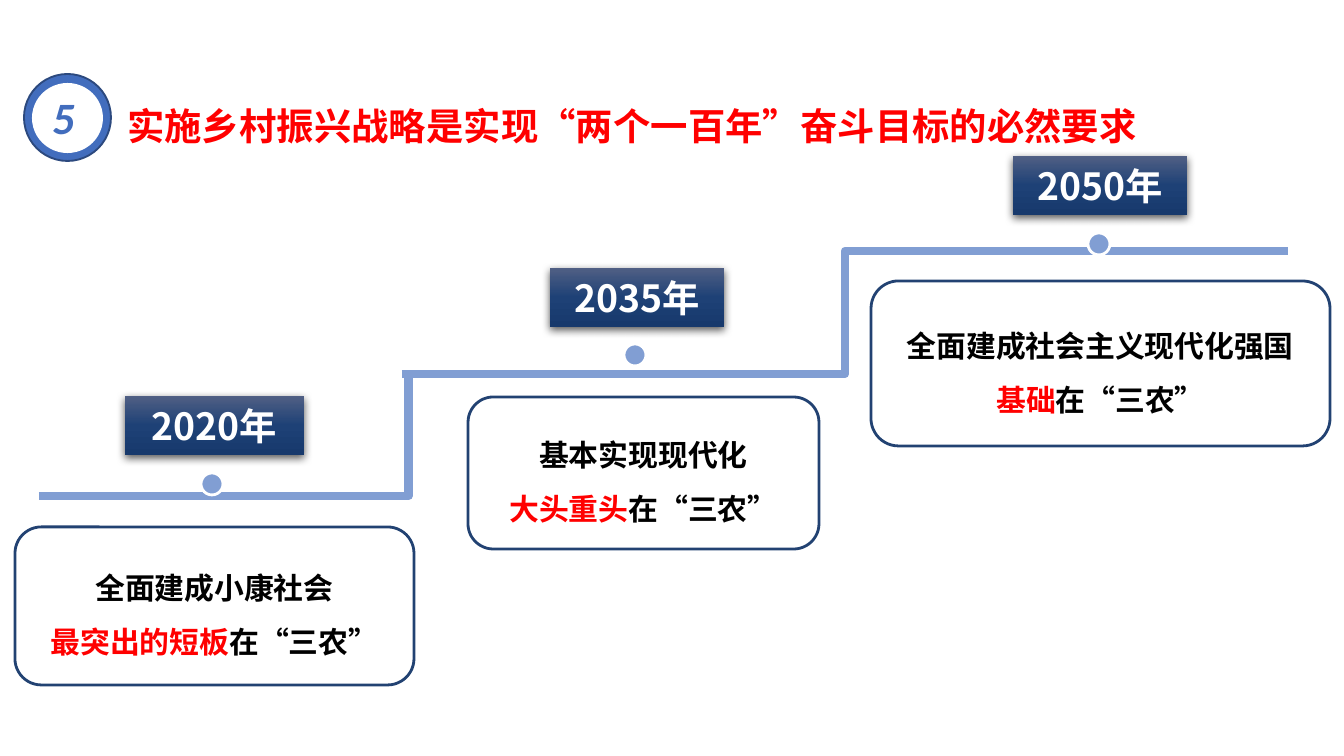
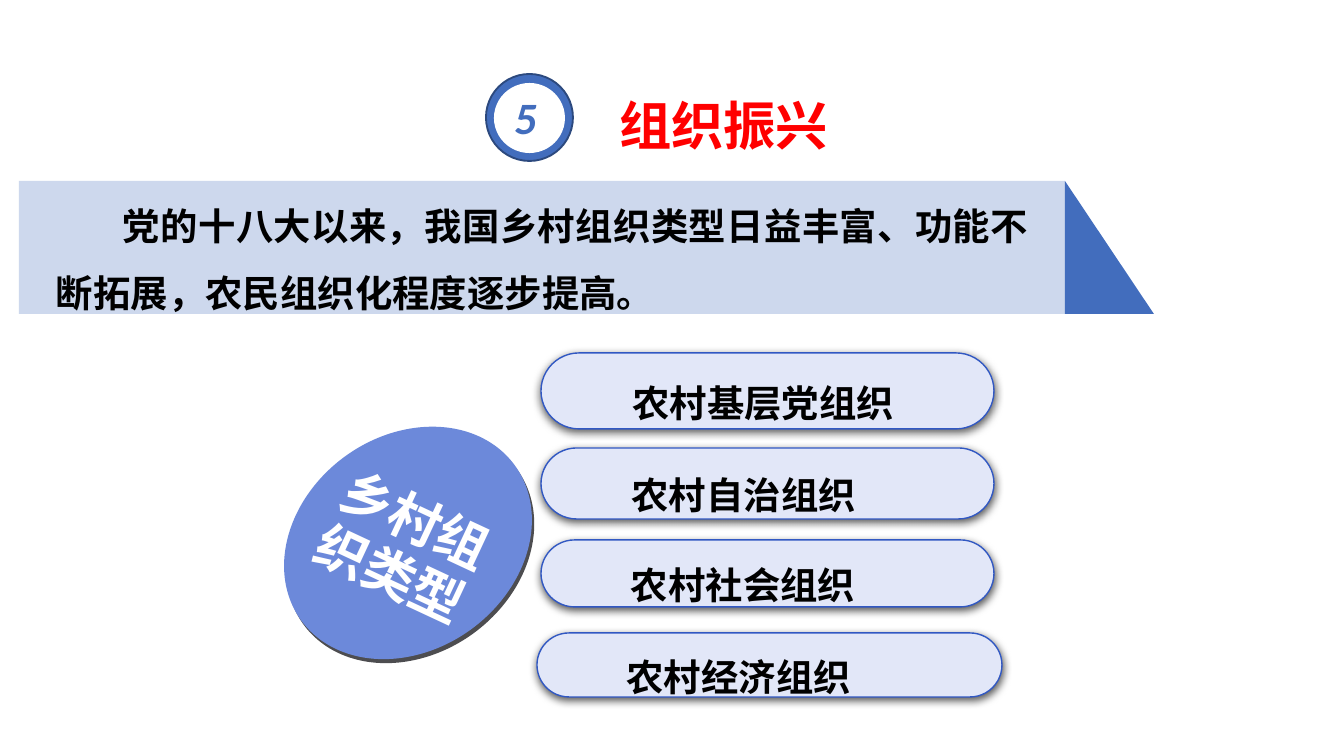
from dataclasses import dataclass

from lxml.etree import SubElement
from pptx import Presentation
from pptx.dml.color import RGBColor
from pptx.enum.shapes import MSO_CONNECTOR, MSO_SHAPE
from pptx.enum.text import MSO_ANCHOR, PP_ALIGN
from pptx.oxml import parse_xml
from pptx.oxml.ns import nsdecls, qn
from pptx.util import Pt

WIDTH, HEIGHT = 1344, 756


@dataclass(frozen=True)
class Theme:
    font: str = "Noto Sans CJK SC"
    number_font: str = "Calibri"
    white: str = "FFFFFF"
    black: str = "000000"
    red: str = "FF0000"
    blue: str = "426DBD"
    ring: str = "2C497E"
    step: str = "819ED3"
    card_line: str = "224272"
    date_stops: tuple = ((0, "505F84"), (50, "1E4176"), (100, "17396C"))
    pill: str = "E2E7F8"
    pill_line: str = "3158C3"
    banner: str = "CDD8ED"
    disc: str = "6C89DA"
    disc_edge: str = "4D4D50"
    heading: int = 28
    number: int = 24
    body: int = 20
    card: int = 16


THEME = Theme()

GOALS_TITLE = "实施乡村振兴战略是实现“两个一百年”奋斗目标的必然要求"
STEP_LINES = [(39, 496, 778, 374), (402, 374, 1288, 251)]
# year, date box, centre of its dot, card box, goal, weak point
GOALS = [
    ("2020年", (125, 396, 179, 59), (212, 484), (15, 527, 399, 158),
     "全面建成小康社会", "最突出的短板"),
    ("2035年", (550, 268, 174, 59), (635, 355), (468, 397, 351, 152),
     "基本实现现代化", "大头重头"),
    ("2050年", (1013, 156, 174, 59), (1099, 244), (871, 281, 459, 165),
     "全面建成社会主义现代化强国", "基础"),
]
GOAL_ENDING = "在“三农”"

ORGANISATION_TITLE = "组织振兴"
SUMMARY = "党的十八大以来，我国乡村组织类型日益丰富、功能不断拓展，农民组织化程度逐步提高。"
TYPES_LABEL = "乡村组织类型"
ORGANISATIONS = [
    ("农村基层党组织", (541, 353, 453, 76)),
    ("农村自治组织", (541, 448, 453, 71)),
    ("农村社会组织", (541, 540, 453, 67)),
    ("农村经济组织", (537, 633, 465, 64)),
]


def px(length):
    return round(length * 9144000 / WIDTH)


def emu(box):
    return [px(length) for length in box]


def add_shadow(shape, color, opacity, blur, distance, angle):
    """Outer shadow: opacity in percent, blur and distance in points."""
    shape._element.spPr.append(parse_xml(
        f'<a:effectLst {nsdecls("a")}><a:outerShdw blurRad="{Pt(blur)}" dist="{Pt(distance)}" '
        f'dir="{angle * 60000}" algn="ctr" rotWithShape="0"><a:srgbClr val="{color}">'
        f'<a:alpha val="{opacity * 1000}"/></a:srgbClr></a:outerShdw></a:effectLst>'))


def add_soft_shadow(shape):
    add_shadow(shape, THEME.black, 63, 4.5, 1.5, 90)


def add_figure(slide, kind, box, fill, line=None, line_width=1, shadowed=False):
    shape = slide.shapes.add_shape(kind, *emu(box))
    if not shadowed:
        shape.shadow.inherit = False
    shape.fill.solid()
    shape.fill.fore_color.rgb = RGBColor.from_string(fill)
    if line:
        shape.line.color.rgb = RGBColor.from_string(line)
        shape.line.width = Pt(line_width)
    else:
        shape.line.fill.background()
    return shape


def set_gradient(shape, stops):
    shape.fill.gradient()
    shape.fill.gradient_angle = 270
    stop_list = shape._element.spPr.find(qn("a:gradFill")).find(qn("a:gsLst"))
    for stop in list(stop_list):
        stop_list.remove(stop)
    for position, color in stops:
        stop = SubElement(stop_list, qn("a:gs"), pos=str(position * 1000))
        SubElement(stop, qn("a:srgbClr"), val=color)


def write(shape, lines, size, color=THEME.black, align=PP_ALIGN.LEFT, spacing=None,
          anchor=MSO_ANCHOR.MIDDLE, wrap=True, indent=0, font=THEME.font, italic=False):
    """Each line is a list of (text, colour) runs, or a text in the common colour."""
    frame = shape.text_frame
    frame.word_wrap = wrap
    frame.vertical_anchor = anchor
    for index, line in enumerate(lines):
        paragraph = frame.add_paragraph() if index else frame.paragraphs[0]
        paragraph.alignment = align
        if spacing:
            paragraph.line_spacing = spacing
        if indent:
            paragraph._p.get_or_add_pPr().set("indent", str(px(indent)))
        paragraph.font.size = Pt(size)
        paragraph.font.bold = True
        paragraph.font.italic = italic
        for text, run_color in [(line, color)] if isinstance(line, str) else line:
            run = paragraph.add_run()
            run.text = text
            run.font.name = font
            run.font.color.rgb = RGBColor.from_string(run_color)
            SubElement(run._r.get_or_add_rPr(), qn("a:ea"), typeface=font)


def add_heading(slide, badge_left, title, title_box, size):
    """Numbered ring with the red slide title beside it."""
    add_figure(slide, MSO_SHAPE.OVAL, (badge_left, 74, 87, 87), THEME.blue, THEME.ring)
    add_figure(slide, MSO_SHAPE.OVAL, (badge_left + 8, 83, 71, 70), THEME.white)
    number = slide.shapes.add_textbox(*emu((badge_left + 15, 83, 58, 67)))
    write(number, ["5"], THEME.number, THEME.blue, anchor=MSO_ANCHOR.TOP,
          font=THEME.number_font, italic=True)
    write(slide.shapes.add_textbox(*emu(title_box)), [title], size, THEME.red,
          spacing=1.5, anchor=MSO_ANCHOR.TOP, wrap=False)


def add_step_line(slide, ends):
    connector = slide.shapes.add_connector(MSO_CONNECTOR.ELBOW, *emu(ends))
    connector.line.color.rgb = RGBColor.from_string(THEME.step)
    connector.line.width = Pt(4.5)
    SubElement(connector._element.spPr, qn("a:effectLst"))


def add_goal(slide, year, date_box, dot_centre, card_box, goal, weak_point):
    x, y = dot_centre
    add_figure(slide, MSO_SHAPE.OVAL, (x - 11, y - 11, 22, 22), THEME.step, THEME.white, 1.5)
    date = add_figure(slide, MSO_SHAPE.RECTANGLE, date_box, THEME.card_line, shadowed=True)
    set_gradient(date, THEME.date_stops)
    add_soft_shadow(date)
    write(date, [year], THEME.body, THEME.white, PP_ALIGN.CENTER)
    card = add_figure(slide, MSO_SHAPE.ROUNDED_RECTANGLE, card_box, THEME.white,
                      THEME.card_line, 1.5)
    ending = [(weak_point, THEME.red), (GOAL_ENDING, THEME.black)]
    write(card, [goal, ending], THEME.card, align=PP_ALIGN.CENTER, spacing=1.5)


def add_organisation(slide, name, box):
    pill = add_figure(slide, MSO_SHAPE.ROUNDED_RECTANGLE, box, THEME.pill,
                      THEME.pill_line, 0.75, shadowed=True)
    pill.adjustments[0] = 0.5
    add_soft_shadow(pill)
    write(pill, [name], THEME.body, align=PP_ALIGN.JUSTIFY, spacing=1.5, indent=67)


def add_banner(slide):
    banner = add_figure(slide, MSO_SHAPE.RECTANGLE, (19, 181, 1046, 133), THEME.banner)
    frame = banner.text_frame
    frame.margin_left = frame.margin_right = px(37)
    frame.margin_top = frame.margin_bottom = 0
    write(banner, [SUMMARY], THEME.body, align=PP_ALIGN.JUSTIFY, spacing=1.5, indent=67)
    add_figure(slide, MSO_SHAPE.RIGHT_TRIANGLE, (1065, 181, 89, 133), THEME.blue)


def add_tilted_disc(slide):
    disc = add_figure(slide, MSO_SHAPE.OVAL, (276, 436, 264, 214), THEME.disc, shadowed=True)
    disc.rotation = -36
    add_shadow(disc, THEME.disc_edge, 100, 0, 2.5, 60)
    label = slide.shapes.add_textbox(*emu((302, 468, 200, 160)))
    label.rotation = 25
    write(label, [TYPES_LABEL], THEME.heading, THEME.white, PP_ALIGN.CENTER, spacing=0.95)


def build_goals_slide(slide):
    for ends in STEP_LINES:
        add_step_line(slide, ends)
    add_heading(slide, 24, GOALS_TITLE, (114, 74, 1046, 74), THEME.body)
    for goal in GOALS:
        add_goal(slide, *goal)


def build_organisation_slide(slide):
    add_heading(slide, 486, ORGANISATION_TITLE, (606, 55, 238, 97), THEME.heading)
    for name, box in ORGANISATIONS:
        add_organisation(slide, name, box)
    add_banner(slide)
    add_tilted_disc(slide)


def main():
    presentation = Presentation()
    presentation.slide_width, presentation.slide_height = px(WIDTH), px(HEIGHT)
    for build in (build_goals_slide, build_organisation_slide):
        build(presentation.slides.add_slide(presentation.slide_layouts[6]))
    presentation.save("out.pptx")


if __name__ == "__main__":
    main()
